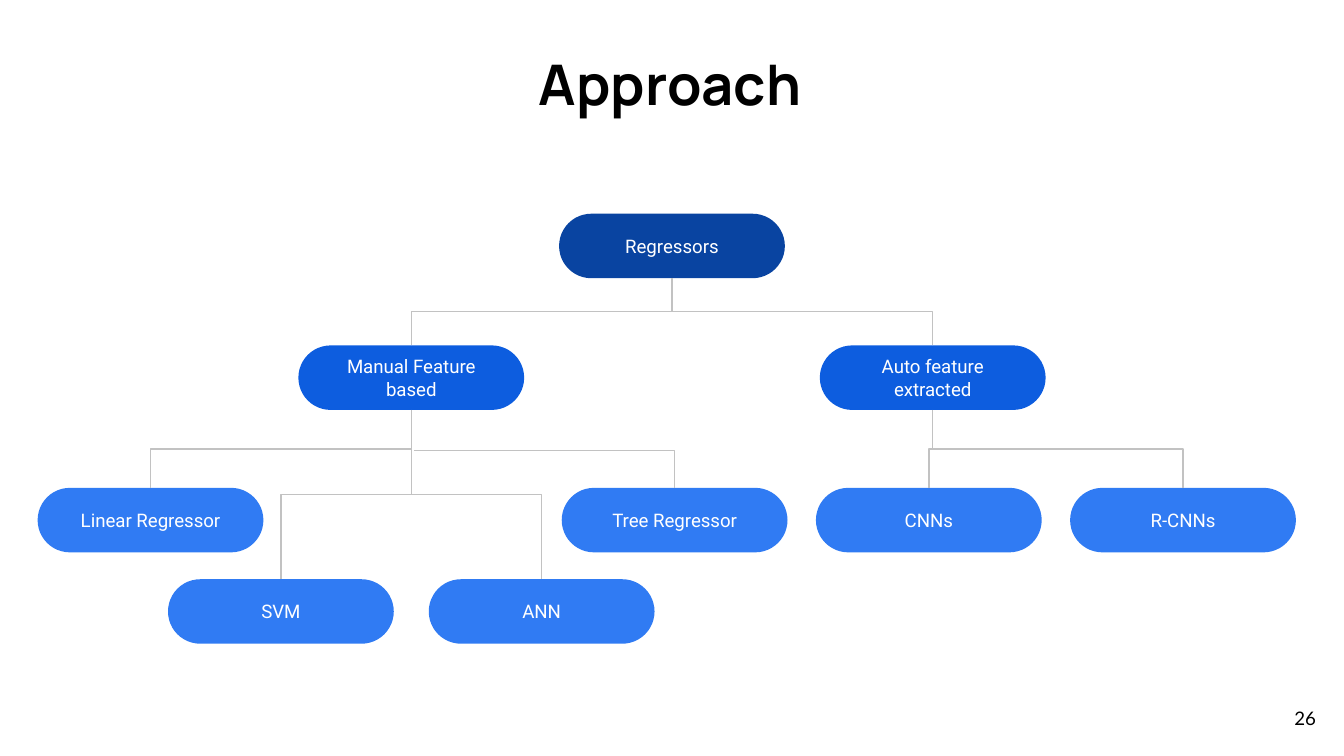
from dataclasses import dataclass

import pptx
import pptx.dml.color
import pptx.enum.shapes
import pptx.enum.text
import pptx.oxml.ns
import pptx.oxml.xmlchemy
import pptx.util
from pptx.enum.shapes import MSO_CONNECTOR, MSO_SHAPE
from pptx.enum.text import MSO_ANCHOR, PP_ALIGN

WIDTH = 10
HEIGHT = WIDTH * 9 / 16
FIRST_CENTRE, COLUMN = 1.12, 0.97
ROW_TOPS = (1.59, 2.57, 3.63, 4.31)
NODE_WIDTH, NODE_HEIGHT = 1.68, 0.48
NAVY, BLUE, LIGHT_BLUE, GREY = "0944A1", "0D5DDF", "307BF3", "C2C2C2"
WHITE, BLACK = "FFFFFF", "000000"
TOP_SITE, BOTTOM_SITE = 0, 2


@dataclass(frozen=True)
class Node:
    label: str
    column: float
    row: int
    fill: str
    parent: str = ""

    @property
    def centre(self) -> float:
        return FIRST_CENTRE + self.column * COLUMN

    @property
    def top(self) -> float:
        return ROW_TOPS[self.row]

    @property
    def bottom(self) -> float:
        return self.top + NODE_HEIGHT


ROOT, MANUAL, AUTO = "Regressors", "Manual Feature based", "Auto feature extracted"
TREE = "Tree Regressor"
NODES = (
    Node(ROOT, 4, 0, NAVY),
    Node(MANUAL, 2, 1, BLUE, ROOT),
    Node(AUTO, 6, 1, BLUE, ROOT),
    Node("Linear Regressor", 0, 2, LIGHT_BLUE, MANUAL),
    Node("SVM", 1, 3, LIGHT_BLUE, MANUAL),
    Node("ANN", 3, 3, LIGHT_BLUE, MANUAL),
    Node(TREE, 4.02, 2, LIGHT_BLUE),
    Node("CNNs", 5.97, 2, LIGHT_BLUE, AUTO),
    Node("R-CNNs", 7.92, 2, LIGHT_BLUE, AUTO),
)


def colour(value: str) -> pptx.dml.color.RGBColor:
    return pptx.dml.color.RGBColor.from_string(value)


def place(item, left: float, top: float, width: float, height: float) -> None:
    item.left, item.top = pptx.util.Inches(left), pptx.util.Inches(top)
    item.width, item.height = pptx.util.Inches(width), pptx.util.Inches(height)


def write(box, text: str, font: str, size: float, ink: str, align, anchor, bold=False) -> None:
    frame = box.text_frame
    frame.word_wrap = True
    frame.auto_size = pptx.enum.text.MSO_AUTO_SIZE.NONE
    frame.vertical_anchor = anchor
    frame.margin_left = frame.margin_right = pptx.util.Inches(0.1)
    frame.margin_top = frame.margin_bottom = pptx.util.Inches(0.1)
    para = frame.paragraphs[0]
    para.text = text
    para.alignment = align
    para.font.name, para.font.size, para.font.bold = font, pptx.util.Pt(size), bold
    para.font.color.rgb = colour(ink)


def add_node(page, node: Node):
    box = page.shapes.add_shape(MSO_SHAPE.ROUNDED_RECTANGLE, 0, 0, 0, 0)
    place(box, node.centre - NODE_WIDTH / 2, node.top, NODE_WIDTH, NODE_HEIGHT)
    box.adjustments[0] = 0.5
    box.shadow.inherit = False
    box.fill.solid()
    box.fill.fore_color.rgb = colour(node.fill)
    box.line.fill.background()
    write(box, node.label, "Roboto", 10, WHITE, PP_ALIGN.CENTER, MSO_ANCHOR.MIDDLE)
    return box


def add_elbow(page):
    elbow = page.shapes.add_connector(MSO_CONNECTOR.ELBOW, 0, 0, 0, 0)
    elbow.line.color.rgb = colour(GREY)
    elbow.line.width = pptx.util.Pt(0.75)
    elbow.element.spPr.append(pptx.oxml.xmlchemy.OxmlElement("a:effectLst"))
    return elbow


def link(page, parent: Node, child: Node, boxes: dict) -> None:
    """Run down, across and down again: an elbow turned a quarter about its middle."""
    elbow = add_elbow(page)
    elbow.begin_connect(boxes[parent.label], BOTTOM_SITE)
    elbow.end_connect(boxes[child.label], TOP_SITE)
    drop, run = child.top - parent.bottom, abs(child.centre - parent.centre)
    middle_x = (parent.centre + child.centre) / 2
    middle_y = (parent.bottom + child.top) / 2
    place(elbow, middle_x - drop / 2, middle_y - run / 2, drop, run)
    to_right = child.centre > parent.centre
    frame = elbow.element.spPr.find(pptx.oxml.ns.qn("a:xfrm"))
    frame.set("rot", str((270 if to_right else 90) * 60000))
    frame.set("flipH", "1" if to_right else "0")
    frame.set("flipV", "0")


def branch(page, left: float, top: float, child: Node, boxes: dict) -> None:
    """Run across and then down, with a single corner."""
    elbow = add_elbow(page)
    elbow.end_connect(boxes[child.label], TOP_SITE)
    place(elbow, left, top, child.centre - left, child.top - top)
    elbow.element.spPr.find(pptx.oxml.ns.qn("a:prstGeom")).set("prst", "bentConnector2")


def main() -> None:
    deck = pptx.Presentation()
    deck.slide_width, deck.slide_height = pptx.util.Inches(WIDTH), pptx.util.Inches(HEIGHT)
    page = deck.slides.add_slide(deck.slide_layouts.get_by_name("Title Only"))

    title = page.shapes.title
    place(title, 3.91, 0.27, 4.42, 1.44)
    write(title, "Approach", "Manrope", 30, BLACK, PP_ALIGN.LEFT, MSO_ANCHOR.TOP, bold=True)

    nodes = {node.label: node for node in NODES}
    boxes = {node.label: add_node(page, node) for node in NODES}
    for node in NODES:
        if node.parent:
            link(page, nodes[node.parent], node, boxes)
    branch(page, 3.08, 3.35, nodes[TREE], boxes)

    number = page.shapes.add_textbox(0, 0, 0, 0)
    place(number, 9.29, 5.13, 0.6, 0.43)
    write(number, "26", "Lato", 10, BLACK, PP_ALIGN.RIGHT, MSO_ANCHOR.MIDDLE)

    deck.save("out.pptx")


if __name__ == "__main__":
    main()
